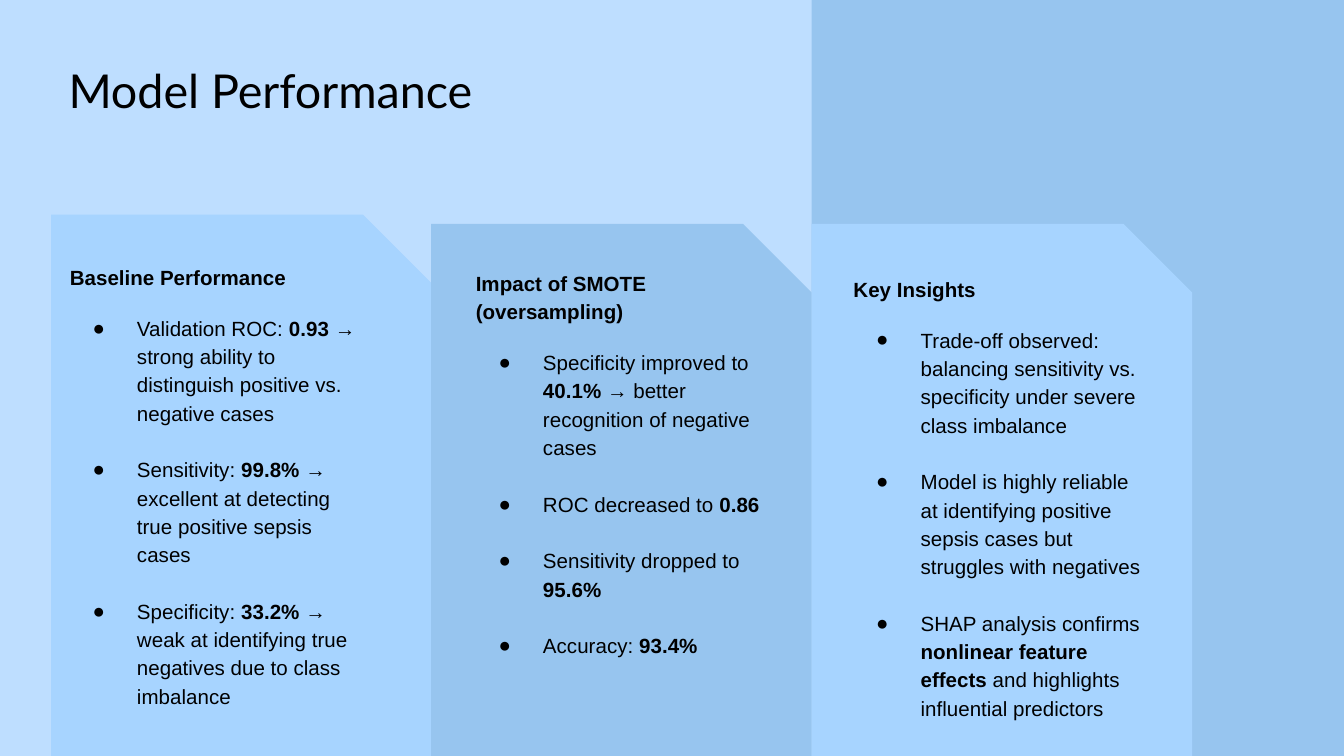
from lxml import etree
from pptx import Presentation
from pptx.dml.color import RGBColor
from pptx.enum.shapes import MSO_SHAPE as Preset
from pptx.enum.text import MSO_ANCHOR as Anchor, PP_ALIGN as Align
from pptx.oxml.ns import qn
from pptx.util import Pt

WIDTH, HEIGHT = 720, 405
PALE, LIGHT, MEDIUM = "BEDEFF", "A7D4FF", "97C5EF"
LINE_GAP = 15.2  # one blank line between bullets

# Panel box, text box, fill, heading and bullets; ** marks bold text
COLUMNS = [
    ((27.4, 115, 203.8, 290), (37.4, 140, 166.3, 254), LIGHT, "Baseline Performance", [
        "Validation ROC: **0.93** → strong ability to distinguish positive vs. negative cases",
        "Sensitivity: **99.8%** → excellent at detecting true positive sepsis cases",
        "Specificity: **33.2%** → weak at identifying true negatives due to class imbalance"]),
    ((231, 120, 203.8, 285), (254.9, 143.3, 166.3, 240), MEDIUM, "Impact of SMOTE (oversampling)", [
        "Specificity improved to **40.1%** → better recognition of negative cases",
        "ROC decreased to **0.86**",
        "Sensitivity dropped to **95.6%**",
        "Accuracy: **93.4%**"]),
    ((434.8, 120, 203.8, 285), (457.2, 146.4, 166.3, 240), LIGHT, "Key Insights", [
        "Trade-off observed: balancing sensitivity vs. specificity under severe class imbalance",
        "Model is highly reliable at identifying positive sepsis cases but struggles with negatives",
        "SHAP analysis confirms **nonlinear feature effects** and highlights influential predictors"]),
]


def color(value):
    return RGBColor.from_string(value)


def add_panel(slide, preset, box, fill):
    shape = slide.shapes.add_shape(preset, *map(Pt, box))
    shape.shadow.inherit = False
    shape.fill.solid()
    shape.fill.fore_color.rgb = color(fill)
    shape.line.fill.background()
    return shape


def prepare_frame(frame):
    frame.word_wrap = True
    frame.vertical_anchor = Anchor.TOP
    frame.margin_left = frame.margin_top = frame.margin_bottom = 0
    frame.margin_right = Pt(7.2)


def set_font(font, name, size):
    font.name, font.size = name, Pt(size)
    font.color.rgb = color("000000")


def add_bullet(paragraph):
    properties = paragraph._p.get_or_add_pPr()
    properties.set("marL", str(Pt(36)))
    properties.set("indent", str(-Pt(23.8)))
    bullet_color = etree.SubElement(properties, qn("a:buClr"))
    etree.SubElement(bullet_color, qn("a:srgbClr"), val="000000")
    etree.SubElement(properties, qn("a:buSzPts"), val="1100")
    etree.SubElement(properties, qn("a:buFont"), typeface="Arial")
    etree.SubElement(properties, qn("a:buChar"), char="●")


def add_title(slide, box, text):
    title = slide.shapes.title
    # Bring the title in front of the background panel
    slide.shapes._spTree.append(title._element)
    title.left, title.top, title.width, title.height = map(Pt, box)
    prepare_frame(title.text_frame)
    title.text_frame.text = text
    paragraph = title.text_frame.paragraphs[0]
    paragraph.alignment = Align.LEFT
    set_font(paragraph.font, "Lato", 25)


def add_column_text(slide, box, heading, bullets):
    frame = slide.shapes.add_textbox(*map(Pt, box)).text_frame
    prepare_frame(frame)
    for index, text in enumerate([f"**{heading}**", *bullets]):
        paragraph = frame.add_paragraph() if index else frame.paragraphs[0]
        paragraph.line_spacing = 1.15
        if index:
            paragraph.space_before = Pt(12 if index == 1 else LINE_GAP)
            add_bullet(paragraph)
        set_font(paragraph.font, "Arial", 11)
        # Every second part lies between ** marks
        for part, words in enumerate(text.split("**")):
            if words:
                run = paragraph.add_run()
                run.text = words
                run.font.bold = part % 2 == 1


def build_slide(presentation):
    slide = presentation.slides.add_slide(presentation.slide_layouts[5])
    # Two-tone background
    slide.background.fill.solid()
    slide.background.fill.fore_color.rgb = color(MEDIUM)
    add_panel(slide, Preset.RECTANGLE, (0, 0, 434.8, HEIGHT), PALE)
    # Title
    add_title(slide, (36.7, 33.1, 420.5, 45.4), "Model Performance")
    # Columns with a snipped corner
    for panel_box, _, fill, _, _ in COLUMNS:
        panel = add_panel(slide, Preset.SNIP_1_RECTANGLE, panel_box, fill)
        panel.adjustments[0] = 0.18
    for _, text_box, _, heading, bullets in COLUMNS:
        add_column_text(slide, text_box, heading, bullets)


def main():
    presentation = Presentation()
    presentation.slide_width, presentation.slide_height = Pt(WIDTH), Pt(HEIGHT)
    build_slide(presentation)
    presentation.save("out.pptx")


if __name__ == "__main__":
    main()
